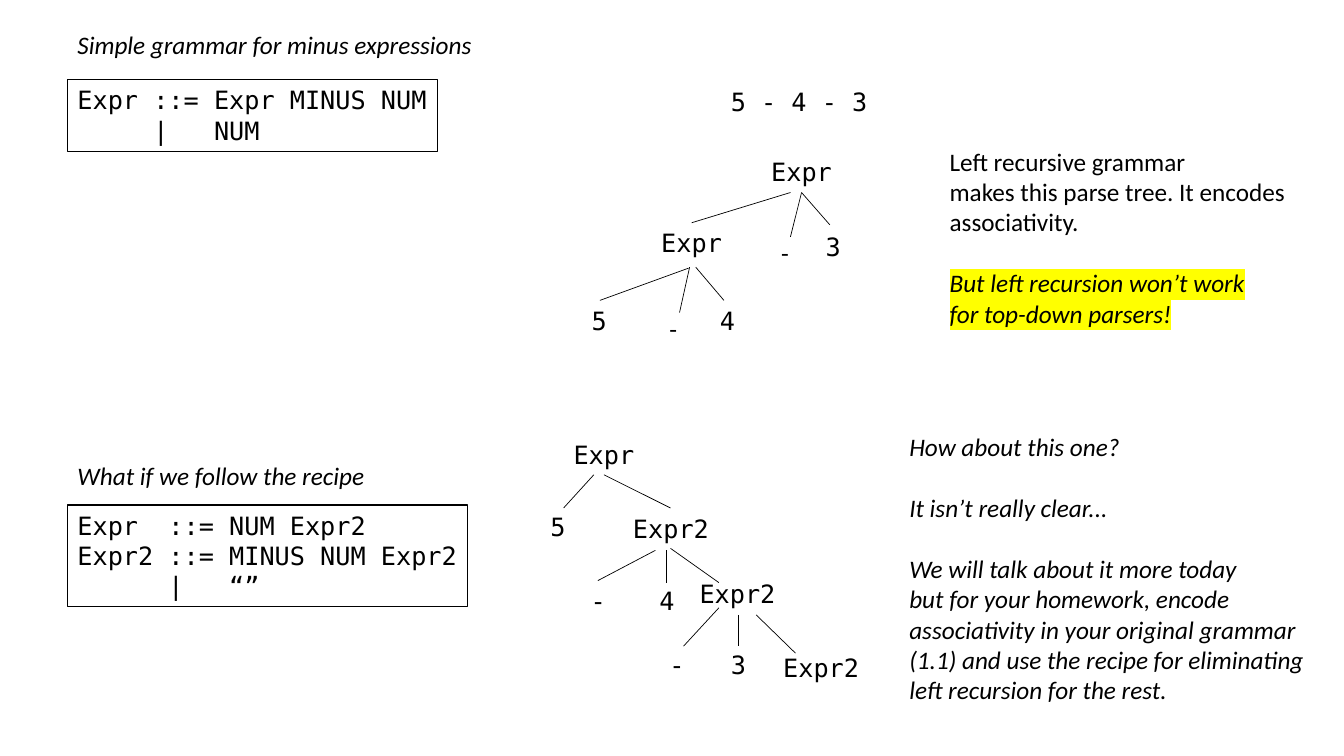
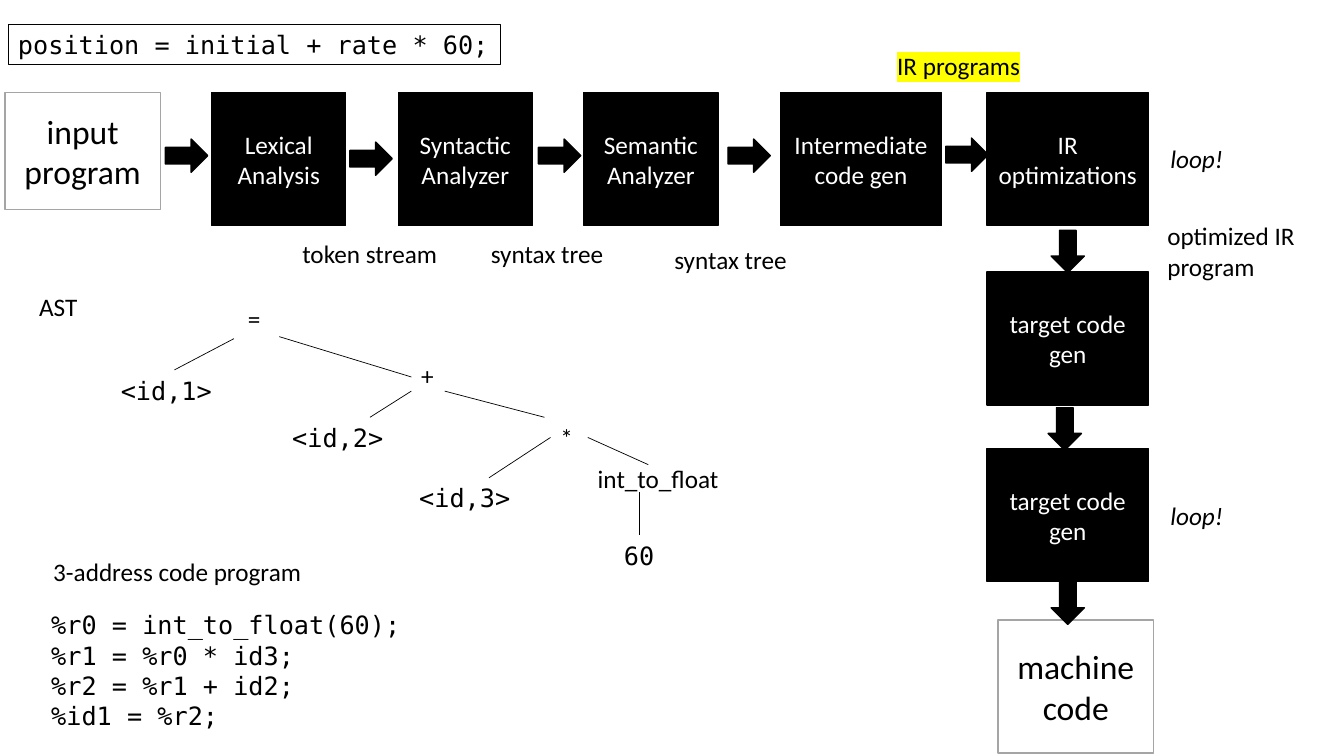
from lxml.etree import SubElement
from pptx import Presentation
from pptx.dml.color import RGBColor
from pptx.enum.shapes import MSO_CONNECTOR, MSO_SHAPE
from pptx.enum.text import MSO_AUTO_SIZE
from pptx.oxml.ns import qn
from pptx.util import Inches, Pt

BLACK, WHITE, GREY, YELLOW = "000000", "FFFFFF", "A5A5A5", "FFFF00"
SANS, MONO = "Calibri", "DejaVu Sans Mono"
LINE_HEIGHT = 0.4
BLANK_LINE = 22
hex_colour = RGBColor.from_string


def place(slide, x, y, w, h=LINE_HEIGHT, preset=None, fill=None, line=None, weight=1.0, wrap=False):
    frame = [Inches(v) for v in (x, y, w, h)]
    if preset is None:
        shape = slide.shapes.add_textbox(*frame)
        shape.text_frame.word_wrap = wrap
        shape.text_frame.auto_size = MSO_AUTO_SIZE.SHAPE_TO_FIT_TEXT
    else:
        shape = slide.shapes.add_shape(preset, *frame)
        shape.shadow.inherit = False
    if fill:
        shape.fill.solid()
        shape.fill.fore_color.rgb = hex_colour(fill)
    if line:
        shape.line.color.rgb = hex_colour(line)
        shape.line.width = Pt(weight)
    return shape


def write(shape, text, font=SANS, size=18, colour=BLACK, italic=False, highlight=None, before=0):
    frame = shape.text_frame
    for number, line in enumerate(text.split("\n")):
        paragraph = frame.add_paragraph() if frame.text else frame.paragraphs[0]
        if before and number == 0:
            paragraph.space_before = Pt(before)
        run = paragraph.add_run()
        run.text = line
        run.font.size = Pt(size)
        run.font.italic = italic
        run.font.color.rgb = hex_colour(colour)
        if highlight:
            mark = SubElement(run.font._element, qn("a:highlight"))
            SubElement(mark, qn("a:srgbClr")).set("val", highlight)
        run.font.name = font


deck = Presentation()
deck.slide_width, deck.slide_height = Inches(13.33), Inches(7.5)
grammar, compiler = [deck.slides.add_slide(deck.slide_layouts[6]) for _ in range(2)]

code_frames = [
    (grammar, 0.67, 0.79, 3.67, 0.71, "Expr ::= Expr MINUS NUM\n     |   NUM"),
    (grammar, 0.67, 5.01, 3.97, 1.01,
     "Expr  ::= NUM Expr2\nExpr2 ::= MINUS NUM Expr2\n      |   “”"),
    (compiler, 0.08, 0.24, 4.88, 0.4, "position = initial + rate * 60;"),
]
for slide, x, y, w, h, code in code_frames:
    write(place(slide, x, y, w, h, line=BLACK, weight=0.75), code, font=MONO)

left_recursion = place(grammar, 9.32, 1.4, 3.57, 1.92)
write(left_recursion, "Left recursive grammar\nmakes this parse tree. It encodes\nassociativity.")
write(left_recursion, "But left recursion won’t work\nfor top-down parsers!",
      italic=True, highlight=YELLOW, before=BLANK_LINE)

homework = place(grammar, 8.92, 4.23, 4.25, 2.83, wrap=True)
write(homework, "How about this one?", italic=True)
write(homework, "It isn’t really clear...", italic=True, before=BLANK_LINE)
write(homework, "We will talk about it more today\nbut for your homework, encode associativity in your "
      "original grammar (1.1) and use the recipe for eliminating left recursion for the rest.",
      italic=True, before=BLANK_LINE)

stages = [
    ("Lexical Analysis", 2.1, 0.92, 1.33),
    ("Syntactic Analyzer", 3.95, 0.92, 1.33),
    ("Semantic Analyzer", 5.79, 0.92, 1.33),
    ("Intermediate code gen", 7.74, 0.92, 1.6),
    ("IR optimizations", 9.79, 0.92, 1.6),
    ("target code gen", 9.79, 2.7, 1.6),
    ("target code gen", 9.79, 4.45, 1.6),
]
for name, x, y, w in stages:
    write(place(compiler, x, y, w, 1.32, MSO_SHAPE.RECTANGLE, BLACK, BLACK), name, colour=WHITE)

for name, x, y, h in [("input program", 0.05, 0.92, 1.16), ("machine code", 9.9, 6.15, 1.32)]:
    write(place(compiler, x, y, 1.54, h, MSO_SHAPE.RECTANGLE, WHITE, GREY), name, size=24)

flow = [
    (1.64, 1.38, 0), (3.47, 1.41, 0), (5.34, 1.38, 0), (7.22, 1.38, 0), (9.38, 1.37, 0),
    (10.38, 2.33, 90), (10.35, 4.09, 90), (10.38, 5.82, 90),
]
for x, y, turn in flow:
    place(compiler, x, y, 0.42, 0.33, MSO_SHAPE.RIGHT_ARROW, BLACK, BLACK).rotation = turn

captions = [
    (grammar, "Simple grammar for minus expressions", 0.67, 0.24, 4.17, True),
    (grammar, "What if we follow the recipe", 0.67, 4.52, 3.08, True),
    (compiler, "loop!", 11.51, 1.37, 0.74, True),
    (compiler, "loop!", 11.51, 4.91, 0.74, True),
    (compiler, "token stream", 2.9, 2.32, 1.55, False),
    (compiler, "syntax tree", 4.77, 2.32, 1.33, False),
    (compiler, "syntax tree", 6.59, 2.37, 1.33, False),
    (compiler, "AST", 0.29, 2.84, 0.58, False),
    (compiler, "3-address code program", 0.43, 5.47, 2.67, False),
]
for slide, caption, x, y, w, italic in captions:
    write(place(slide, x, y, w), caption, italic=italic)

write(place(compiler, 8.8, 0.45, 1.43), "IR programs", highlight=YELLOW)
write(place(compiler, 11.48, 2.14, 1.54, 0.71), "optimized IR\nprogram")
write(place(compiler, 0.41, 6, 3.67, 1.31),
      "%r0 = int_to_float(60);\n%r1 = %r0 * id3;\n%r2 = %r1 + id2;\n%id1 = %r2;", font=MONO)

nodes = [
    (grammar, MONO, [
        ("5 - 4 - 3", 7.15, 0.81, 1.56),
        ("Expr", 7.55, 1.5, 0.81), ("Expr", 6.46, 2.21, 0.81), ("3", 8.09, 2.25, 0.35),
        ("5", 5.77, 2.98, 0.35), ("4", 7.04, 2.98, 0.35),
        ("Expr", 5.59, 4.31, 0.81), ("5", 5.36, 5.02, 0.35), ("Expr2", 6.18, 5.04, 0.96),
        ("-", 5.76, 5.76, 0.35), ("4", 6.44, 5.76, 0.35), ("Expr2", 6.84, 5.69, 0.96),
        ("-", 6.54, 6.39, 0.35), ("3", 7.15, 6.39, 0.35), ("Expr2", 7.67, 6.42, 0.96),
    ]),
    (grammar, SANS, [("-", 7.65, 2.31, 0.28), ("-", 6.54, 3.06, 0.28)]),
    (compiler, MONO, [
        ("<id,1>", 1.1, 3.67, 1.26), ("<id,2>", 2.8, 4.14, 1.26),
        ("<id,3>", 4.06, 4.74, 1.26), ("60", 6.09, 5.31, 0.5),
    ]),
    (compiler, SANS, [
        ("=", 2.36, 2.96, 0.33), ("+", 4.08, 3.53, 0.33), ("*", 5.46, 4.14, 0.33),
        ("int_to_float", 5.83, 4.55, 1.41),
    ]),
]
for slide, font, labels in nodes:
    for label, x, y, w in labels:
        write(place(slide, x, y, w), label, font=font)

branches = [
    (grammar, [
        (7.84, 1.91, 6.86, 2.21), (7.95, 1.91, 7.84, 2.35), (7.95, 1.91, 8.23, 2.23),
        (6.83, 2.66, 5.95, 2.98), (6.84, 2.65, 6.74, 3.1), (6.9, 2.65, 7.18, 2.98),
        (5.89, 4.71, 5.59, 5.04), (5.99, 4.71, 6.65, 5.04),
        (6.5, 5.46, 5.93, 5.76), (6.61, 5.46, 6.61, 5.78), (6.65, 5.44, 7.13, 5.78),
        (7.13, 6.03, 6.78, 6.41), (7.32, 6.1, 7.32, 6.41), (7.5, 6.1, 7.89, 6.48),
    ]),
    (compiler, [
        (2.32, 3.36, 1.73, 3.67), (2.77, 3.34, 4.08, 3.74),
        (4.08, 3.88, 3.67, 4.14), (4.41, 3.88, 5.4, 4.14),
        (5.46, 4.34, 4.85, 4.74), (5.83, 4.34, 6.43, 4.61), (6.34, 4.88, 6.34, 5.31),
    ]),
]
for slide, ends in branches:
    for end in ends:
        branch = slide.shapes.add_connector(MSO_CONNECTOR.STRAIGHT, *[Inches(v) for v in end])
        branch.line.color.rgb = hex_colour(BLACK)
        branch.line.width = Pt(0.5)
        SubElement(branch._element.spPr, qn("a:effectLst"))

deck.save("out.pptx")
